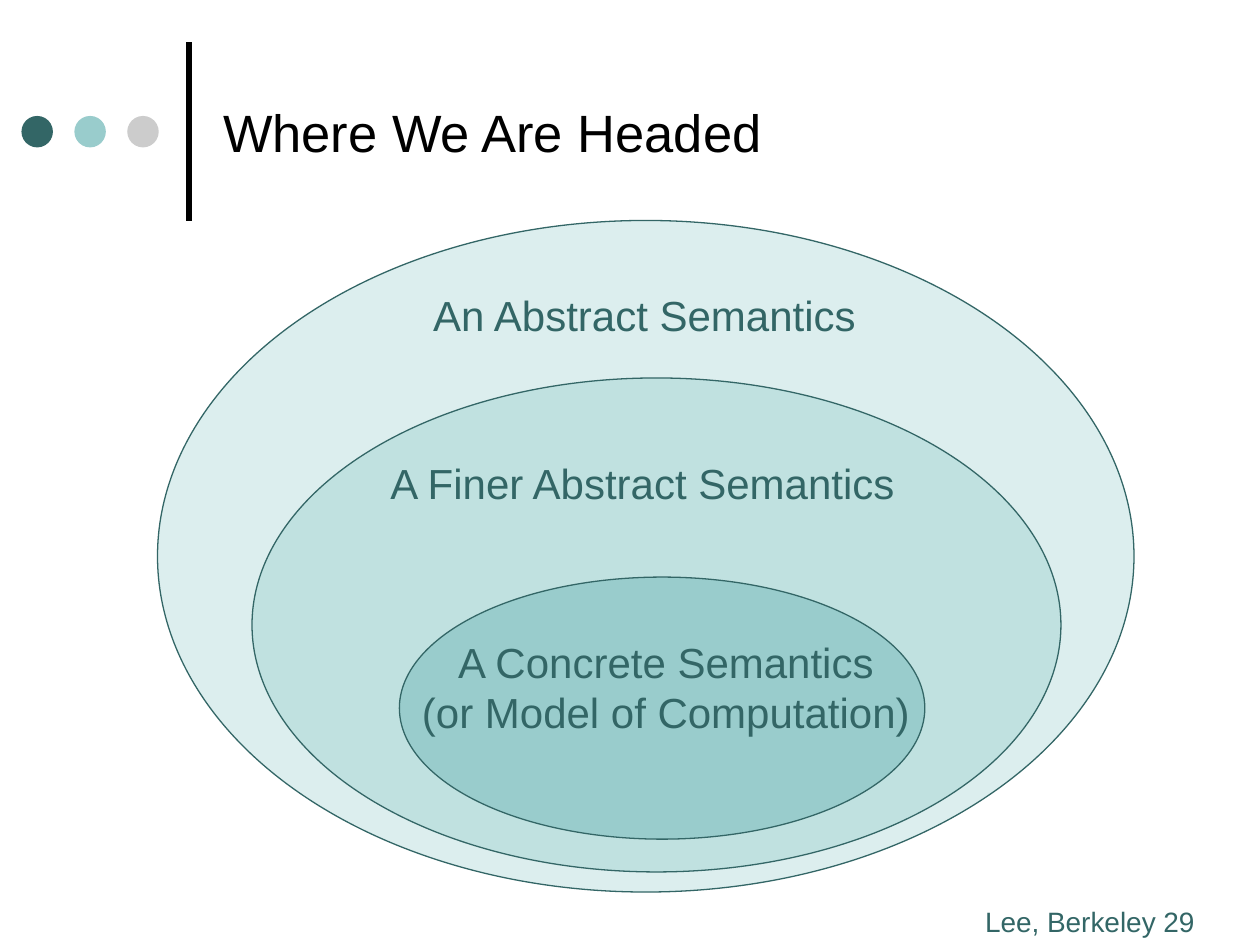
from dataclasses import dataclass
from typing import Any

import pptx
import pptx.dml.color
import pptx.enum.shapes
import pptx.enum.text
import pptx.util
from lxml import etree

Align = pptx.enum.text.PP_ALIGN
Anchor = pptx.enum.text.MSO_ANCHOR
SCALE = 9144


@dataclass(frozen=True)
class Theme:
    font: str = "Arial"
    black: str = "000000"
    teal: str = "336666"
    aqua: str = "99CCCC"
    gray: str = "CCCCCC"
    pale: str = "DCEEEE"
    mid: str = "C0E1E0"
    title: int = 30
    label: int = 24
    foot: int = 16


@dataclass(frozen=True)
class Box:
    left: int
    top: int
    width: int
    height: int


@dataclass(frozen=True)
class Label:
    box: Box
    lines: tuple[str, ...]
    size: int
    align: Any = Align.LEFT
    wrap: bool = False


@dataclass(frozen=True)
class Ring:
    box: Box
    fill: str
    label: Label


THEME = Theme()
DOTS = (THEME.teal, THEME.aqua, THEME.gray)
FOOT = Label(Box(772, 713, 263, 37), ("Lee, Berkeley 29",), THEME.foot, wrap=True)
RINGS = (
    Ring(Box(125, 175, 775, 533), THEME.pale,
         Label(Box(334, 225, 357, 50), ("An Abstract Semantics",), THEME.label)),
    Ring(Box(200, 300, 642, 392), THEME.mid,
         Label(Box(300, 358, 424, 50), ("A Finer Abstract Semantics",), THEME.label)),
    Ring(Box(317, 458, 417, 208), THEME.aqua,
         Label(Box(325, 500, 407, 90),
               ("A Concrete Semantics", "(or Model of Computation)"),
               THEME.label, Align.CENTER)),
)


def px(count: int) -> pptx.util.Emu:
    return pptx.util.Emu(count * SCALE)


def rgb(code: str) -> pptx.dml.color.RGBColor:
    return pptx.dml.color.RGBColor.from_string(code)


def area(box: Box) -> tuple[pptx.util.Emu, ...]:
    return px(box.left), px(box.top), px(box.width), px(box.height)


def apply(target: Any, values: dict[str, Any]) -> None:
    for name, value in values.items():
        setattr(target, name, value)


def write(frame: Any, lines: tuple[str, ...], size: int, color: str, align: Any) -> None:
    for index, line in enumerate(lines):
        para = frame.paragraphs[0] if index == 0 else frame.add_paragraph()
        para.alignment = align
        run = para.add_run()
        run.text = line
        apply(run.font, {"name": THEME.font, "size": pptx.util.Pt(size)})
        run.font.color.rgb = rgb(color)


def oval(slide: Any, box: Box, fill: str, edge: bool) -> None:
    shape = slide.shapes.add_shape(pptx.enum.shapes.MSO_SHAPE.OVAL, *area(box))
    shape.shadow.inherit = False
    shape.fill.solid()
    shape.fill.fore_color.rgb = rgb(fill)
    if edge:
        shape.line.color.rgb = rgb(THEME.teal)
        shape.line.width = pptx.util.Pt(0.75)
    else:
        shape.line.fill.background()


def note(slide: Any, label: Label) -> None:
    frame = slide.shapes.add_textbox(*area(label.box)).text_frame
    frame.word_wrap = label.wrap
    write(frame, label.lines, label.size, THEME.teal, label.align)


def rule(slide: Any) -> None:
    kind = pptx.enum.shapes.MSO_CONNECTOR.STRAIGHT
    line = slide.shapes.add_connector(kind, px(150), px(175), px(150), px(33))
    line.line.color.rgb = rgb(THEME.black)
    line.line.width = pptx.util.Pt(3)
    space = "http://schemas.openxmlformats.org/drawingml/2006/main"
    etree.SubElement(line._element.spPr, f"{{{space}}}effectLst")


def head(slide: Any, text: str) -> None:
    title = slide.shapes.title
    left, top, width, height = area(Box(167, 21, 808, 167))
    apply(title, {"left": left, "top": top, "width": width, "height": height})
    apply(title.text_frame, {"word_wrap": True, "vertical_anchor": Anchor.MIDDLE})
    write(title.text_frame, (text,), THEME.title, THEME.black, Align.LEFT)


def main() -> None:
    deck = pptx.Presentation()
    apply(deck, {"slide_width": px(1000), "slide_height": px(750)})
    slide = deck.slides.add_slide(deck.slide_layouts[5])
    head(slide, "Where We Are Headed")
    rule(slide)
    for index, color in enumerate(DOTS):
        oval(slide, Box(17 + 42 * index, 92, 25, 25), color, False)
    note(slide, FOOT)
    for ring in RINGS:
        oval(slide, ring.box, ring.fill, True)
        note(slide, ring.label)
    deck.save("out.pptx")


if __name__ == "__main__":
    main()
